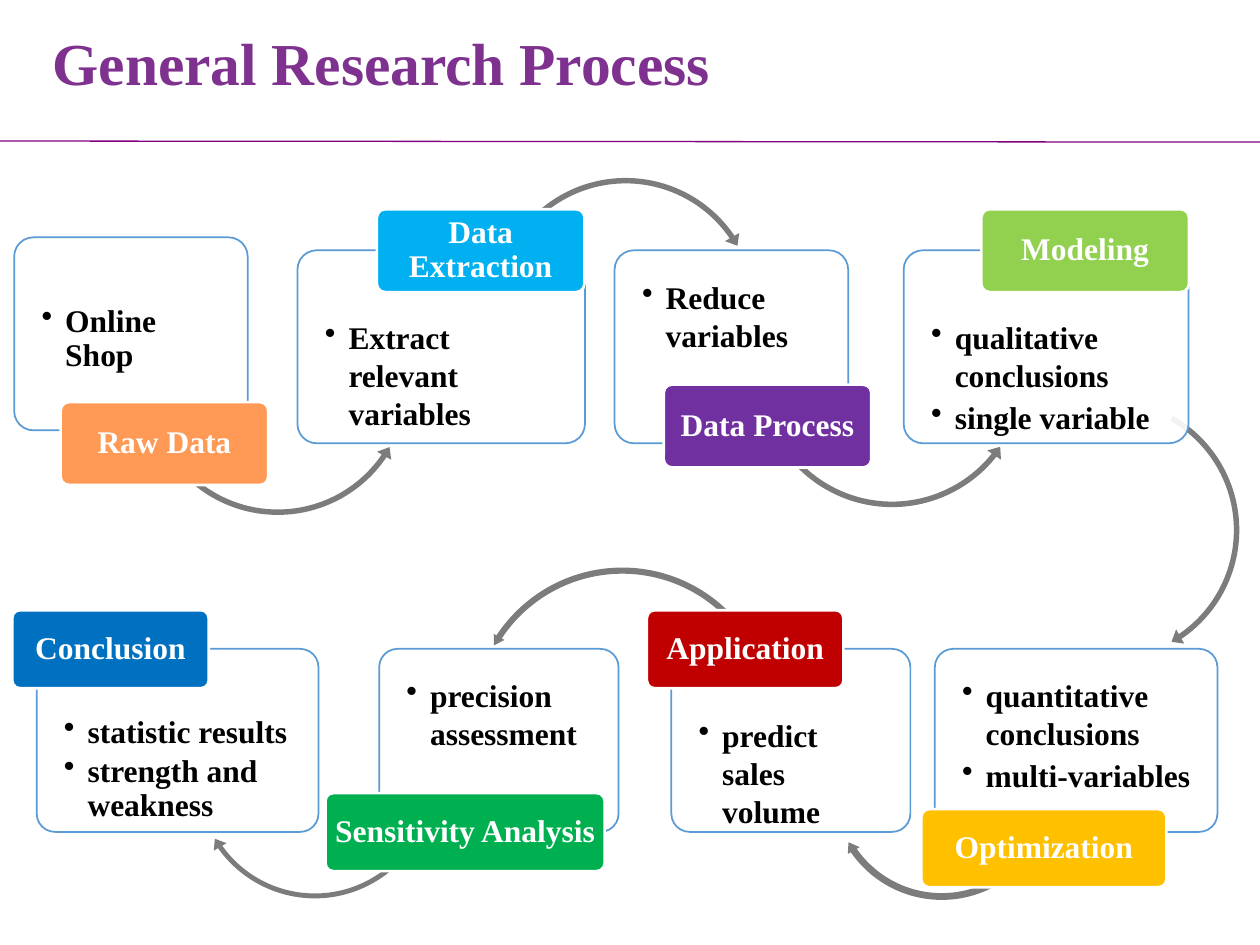
from dataclasses import dataclass
from typing import Optional

from lxml.etree import SubElement
from pptx import Presentation
from pptx.dml.color import RGBColor
from pptx.enum.shapes import MSO_CONNECTOR, MSO_SHAPE
from pptx.enum.text import MSO_ANCHOR, PP_ALIGN
from pptx.oxml.ns import qn
from pptx.util import Pt

FONT = "Times New Roman"
CLOCKWISE = MSO_SHAPE.CIRCULAR_ARROW
COUNTER = MSO_SHAPE.LEFT_CIRCULAR_ARROW
LABEL_BELOW, LABEL_ABOVE = 12.5, 35.5


@dataclass
class Frame:
    left: float
    top: float
    width: float
    height: float


@dataclass
class Arrow:
    kind: MSO_SHAPE
    left: float
    top: float
    size: float
    adjustments: tuple
    rotation: float = 0


@dataclass
class Step:
    title: str
    color: str
    label: Frame
    body: Frame
    bullets: list
    text_top: float
    spacing: float = 1.0
    arrow: Optional[Arrow] = None


def first_row(left: float, top: float, width: float) -> Frame:
    return Frame(left, top, width, 110.3)


def second_row(left: float, width: float) -> Frame:
    return Frame(left, 370.8, width, 104.6)


def first_label(left: float, top: float) -> Frame:
    return Frame(left, top, 118.6, 47.3)


def second_label(left: float, top: float, width: float) -> Frame:
    return Frame(left, top, width, 44.6)


LOOP = Arrow(CLOCKWISE, 555, 224.8, 156.3, (0.02, 2.73, 195.52, 125.76, 0.03), 90)

STEPS = [
    Step("Raw Data", "FF9A56", first_label(34.7, 229.8), first_row(8.1, 135.6, 133.5),
         ["Online Shop"], 35.5, 0.9,
         Arrow(COUNTER, 80.6, 141.1, 156.3, (0.02, 2.73, 20.48, 90.25, 0.03))),
    Step("Data Extraction", "00B0F0", first_label(215.4, 119.6), first_row(170, 143, 164.3),
         ["Extract relevant variables"], LABEL_ABOVE, 1.0,
         Arrow(CLOCKWISE, 279.4, 98.6, 156.3, (0.02, 2.73, 195.52, 125.76, 0.03))),
    Step("Data Process", "7030A0", first_label(379.3, 219.8), first_row(351.2, 143, 133.5),
         ["Reduce variables"], LABEL_BELOW, 1.0,
         Arrow(COUNTER, 430.6, 134.6, 158.4, (0.02, 2.7, 23.07, 92.86, 0.03))),
    Step("Modeling", "92D050", first_label(560.8, 119.6), first_row(516.4, 143, 162.8),
         ["qualitative conclusions", "single variable"], LABEL_ABOVE),
    Step("Optimization", "FFC000", second_label(526.5, 462.4, 140), second_row(534.2, 161.5),
         ["quantitative conclusions", "multi-variables"], LABEL_BELOW, 1.0,
         Arrow(CLOCKWISE, 473, 385.9, 130.3, (0.03, 3.14, 87.1, 17.76, 0.03))),
    Step("Application", "C00000", second_label(369.7, 348.7, 112.3), second_row(383.6, 136.6),
         ["predict sales volume"], LABEL_ABOVE, 1.0,
         Arrow(COUNTER, 267.8, 322.6, 175.7, (0.02, 2.29, 128.05, 198.25, 0.02))),
    Step("Sensitivity Analysis", "00B050", second_label(186, 453.2, 159.5),
         second_row(216.7, 136.8), ["precision assessment"], LABEL_BELOW, 1.0,
         Arrow(CLOCKWISE, 109.4, 375.1, 141.1, (0.02, 2.89, 86.81, 17.21, 0.03))),
    Step("Conclusion", "0070C0", second_label(7, 348.7, 112.3), second_row(21, 161),
         ["statistic results", "strength and weakness"], LABEL_ABOVE, 0.9),
]


def hex_color(value: str) -> RGBColor:
    return RGBColor.from_string(value)


def apply(target, values: dict) -> None:
    for name, value in values.items():
        setattr(target, name, value)


def add_span(para, text: str, size: float, color: str) -> None:
    span = para.add_run()
    span.text = text
    apply(span.font, {"name": FONT, "size": Pt(size), "bold": True})
    span.font.color.rgb = hex_color(color)


def add_panel(page, frame: Frame, fill: str, line: str, weight: float):
    box = page.shapes.add_shape(MSO_SHAPE.ROUNDED_RECTANGLE, Pt(frame.left), Pt(frame.top),
                                Pt(frame.width), Pt(frame.height))
    box.adjustments[0] = 0.1
    box.shadow.inherit = False
    box.fill.solid()
    box.fill.fore_color.rgb = hex_color(fill)
    box.line.color.rgb = hex_color(line)
    box.line.width = Pt(weight)
    return box


def add_body(page, step: Step) -> None:
    box = add_panel(page, step.body, "FFFFFF", "5B9BD5", 1)
    tint = box.fill._xPr.find(qn("a:solidFill"))[0]
    SubElement(tint, qn("a:alpha"), val="90000")
    apply(box.text_frame, {
        "word_wrap": True, "vertical_anchor": MSO_ANCHOR.TOP,
        "margin_left": Pt(12.5), "margin_right": Pt(10),
        "margin_top": Pt(step.text_top), "margin_bottom": Pt(0)})
    for index, text in enumerate(step.bullets):
        para = box.text_frame.add_paragraph() if index else box.text_frame.paragraphs[0]
        apply(para, {"alignment": PP_ALIGN.LEFT, "line_spacing": step.spacing,
                     "space_after": Pt(2.7)})
        properties = para._p.get_or_add_pPr()
        properties.set("marL", str(Pt(13.5)))
        properties.set("indent", str(Pt(-13.5)))
        SubElement(properties, qn("a:buChar"), char="•")
        add_span(para, text, 18, "000000")


def add_label(page, step: Step) -> None:
    box = add_panel(page, step.label, step.color, "FFFFFF", 1.5)
    apply(box.text_frame, {
        "word_wrap": True, "vertical_anchor": MSO_ANCHOR.MIDDLE,
        "margin_left": Pt(3), "margin_right": Pt(3),
        "margin_top": Pt(2.5), "margin_bottom": Pt(2.5)})
    para = box.text_frame.paragraphs[0]
    apply(para, {"alignment": PP_ALIGN.CENTER, "line_spacing": 0.9})
    add_span(para, step.title, 18, "FFFFFF")


def add_arrow(page, arrow: Arrow) -> None:
    shape = page.shapes.add_shape(arrow.kind, Pt(arrow.left), Pt(arrow.top),
                                  Pt(arrow.size), Pt(arrow.size))
    for index, value in enumerate(arrow.adjustments):
        shape.adjustments[index] = value
    shape.rotation = arrow.rotation
    shape.shadow.inherit = False
    shape.fill.solid()
    shape.fill.fore_color.rgb = hex_color("7C7C7C")
    shape.line.fill.background()


def add_heading(page, text: str) -> None:
    rule = page.shapes.add_connector(MSO_CONNECTOR.STRAIGHT, Pt(0), Pt(80.6), Pt(720), Pt(81.2))
    rule.line.color.rgb = hex_color("800080")
    rule.line.width = Pt(0.75)
    SubElement(rule._element.spPr, qn("a:effectLst"))
    box = page.shapes.add_textbox(Pt(23), Pt(15.8), Pt(395.3), Pt(44.6))
    box.text_frame.word_wrap = False
    para = box.text_frame.paragraphs[0]
    para.line_spacing = 0.9
    add_span(para, text, 34, "7E318E")


def main() -> None:
    deck = Presentation()
    apply(deck, {"slide_width": Pt(720), "slide_height": Pt(540)})
    page = deck.slides.add_slide(deck.slide_layouts[6])
    add_heading(page, "General Research Process")
    add_arrow(page, LOOP)
    for step in STEPS:
        add_body(page, step)
        if step.arrow:
            add_arrow(page, step.arrow)
        add_label(page, step)
    deck.save("out.pptx")


if __name__ == "__main__":
    main()
